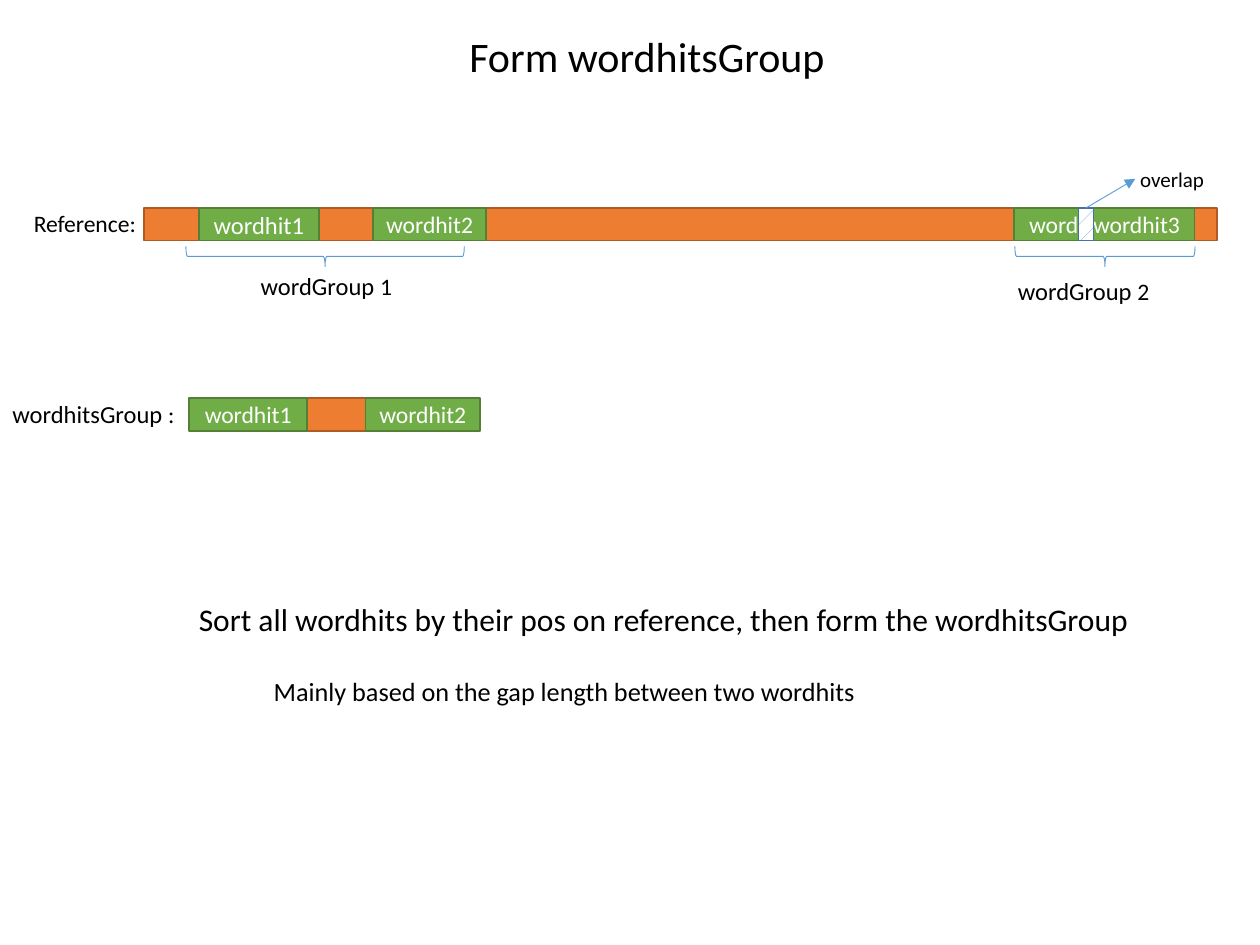
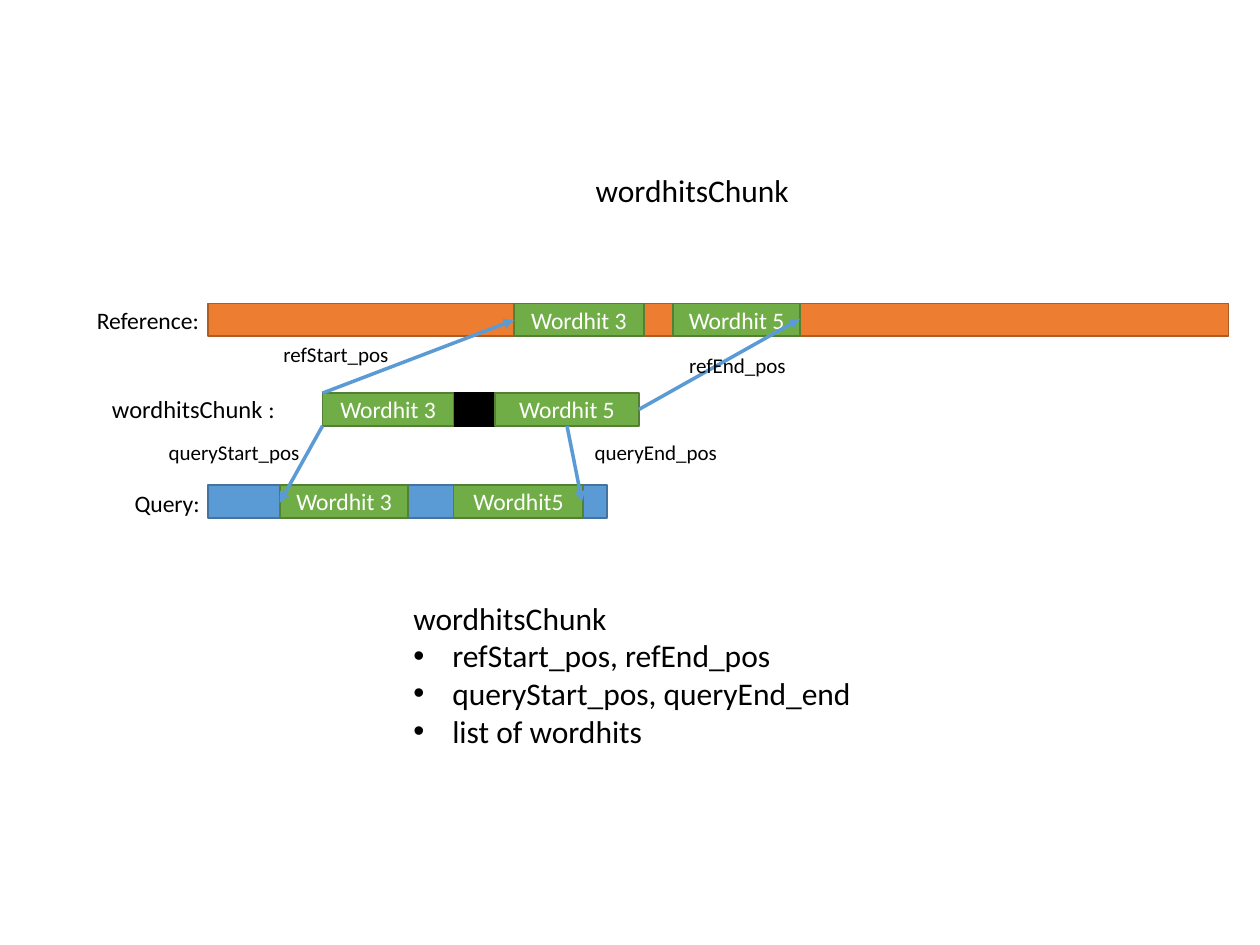
from dataclasses import dataclass

import pptx
import pptx.dml.color
import pptx.enum.dml
import pptx.enum.shapes
import pptx.enum.text
import pptx.oxml.ns
import pptx.util
from lxml import etree

Inches = pptx.util.Inches
Pt = pptx.util.Pt
Shapes = pptx.enum.shapes.MSO_SHAPE
Align = pptx.enum.text.PP_ALIGN
Anchor = pptx.enum.text.MSO_ANCHOR
AutoSize = pptx.enum.text.MSO_AUTO_SIZE
qualified = pptx.oxml.ns.qn


@dataclass(frozen=True)
class Theme:
    font: str = "Calibri"
    text: str = "000000"
    white: str = "FFFFFF"
    blue: str = "5B9BD5"
    hit: tuple = ("70AD47", "538035")
    reference: tuple = ("ED7D31", "AF5C24")
    query: tuple = ("5B9BD5", "43739E")
    gap: tuple = ("000000", "000000")
    title_size: float = 24
    statement_size: float = 18
    remark_size: float = 15
    group_size: float = 14
    label_size: float = 13.5
    note_size: float = 12
    outline: float = 1
    thin: float = 0.5
    thick: float = 2
    bar_height: float = 0.26


THEME = Theme()


def color(value):
    return pptx.dml.color.RGBColor.from_string(value)


def style_font(para, size, ink=THEME.text):
    para.font.name = THEME.font
    para.font.size = Pt(size)
    para.font.color.rgb = color(ink)


def place(shape, left, top, width, height):
    shape.left, shape.top = Inches(left), Inches(top)
    shape.width, shape.height = Inches(width), Inches(height)


def add_title(page, text, size, left, top, width, height):
    title = page.shapes.title
    place(title, left, top, width, height)
    frame = title.text_frame
    frame.word_wrap = False
    frame.auto_size = AutoSize.NONE
    frame.text = text
    style_font(frame.paragraphs[0], size)


def add_list(page, heading, items, left, top, width, height):
    body = page.placeholders[1]
    place(body, left, top, width, height)
    frame = body.text_frame
    frame.word_wrap = False
    frame.auto_size = AutoSize.NONE
    frame.text = "\n".join([heading, *items])
    for index, para in enumerate(frame.paragraphs):
        style_font(para, THEME.statement_size)
        para.space_before = Pt(0)
        properties = para._p.get_or_add_pPr()
        indent = Inches(0.31) if index else 0
        properties.set("marL", str(indent))
        properties.set("indent", str(-indent))
        if index == 0:
            bullet = etree.Element(qualified("a:buNone"))
            properties.find(qualified("a:defRPr")).addprevious(bullet)


def add_label(page, text, size, left, top, width, height, ending="", centred=False):
    box = page.shapes.add_textbox(*map(Inches, (left, top, width, height)))
    frame = box.text_frame
    frame.word_wrap = centred
    frame.auto_size = AutoSize.SHAPE_TO_FIT_TEXT
    para = frame.paragraphs[0]
    para.add_run().text = text
    style_font(para, size)
    if centred:
        para.alignment = Align.CENTER
    if ending:
        span = para.add_run()
        span.text = ending
        span.font.size = Pt(THEME.label_size)


def add_bar(page, colors, left, top, width, text="", size=THEME.label_size):
    bar = page.shapes.add_shape(
        Shapes.RECTANGLE, *map(Inches, (left, top, width, THEME.bar_height)))
    bar.shadow.inherit = False
    fill, outline = colors
    bar.fill.solid()
    bar.fill.fore_color.rgb = color(fill)
    bar.line.color.rgb = color(outline)
    bar.line.width = Pt(THEME.outline)
    if text:
        frame = bar.text_frame
        frame.margin_left = frame.margin_right = 0
        frame.margin_top = frame.margin_bottom = 0
        frame.vertical_anchor = Anchor.MIDDLE
        frame.text = text
        frame.paragraphs[0].alignment = Align.CENTER
        style_font(frame.paragraphs[0], size, THEME.white)
    return bar


def add_hits(page, top, hits):
    for text, left, width in hits:
        add_bar(page, THEME.hit, left, top, width, text)


def add_brace(page, left, top, width, height):
    brace = page.shapes.add_shape(
        Shapes.LEFT_BRACE, *map(Inches, (left, top, width, height)))
    brace.rotation = 270
    brace.shadow.inherit = False
    brace.fill.background()
    brace.line.color.rgb = color(THEME.blue)
    brace.line.width = Pt(THEME.thin)


def add_line(page, start, end, ink, width, arrow=True):
    line = page.shapes.add_connector(
        pptx.enum.shapes.MSO_CONNECTOR.STRAIGHT, *map(Inches, (*start, *end)))
    line.line.color.rgb = color(ink)
    line.line.width = Pt(width)
    if arrow:
        outline = line.line._get_or_add_ln()
        etree.SubElement(outline, qualified("a:tailEnd"), type="triangle")
    etree.SubElement(line._element.spPr, qualified("a:effectLst"))


def make_translucent(shape, percent):
    ink = shape._element.spPr.find(qualified("a:solidFill"))[0]
    etree.SubElement(ink, qualified("a:alpha"), val=str(percent * 1000))


def hatch(shape):
    shape.fill.patterned()
    shape.fill.pattern = pptx.enum.dml.MSO_PATTERN.PERCENT_5
    shape.fill.fore_color.rgb = color(THEME.blue)
    shape.fill.back_color.rgb = color(THEME.white)


def build_group_page(deck):
    page = deck.slides.add_slide(deck.slide_layouts[5])
    top, group_top = 1.65, 3.16
    add_title(page, "Form wordhitsGroup", THEME.title_size, 3.61, 0.19, 3.05, 0.5)

    add_bar(page, THEME.reference, 1.14, top, 8.52)
    add_label(page, "Reference:", THEME.label_size, 0.17, 1.61, 1.03, 0.33)
    add_bar(page, THEME.hit, 1.58, top, 0.95, "wordhit1", THEME.group_size)
    add_hits(page, top, [("wordhit2", 2.96, 0.9), ("word2", 8.05, 0.72)])
    last_hit = add_bar(page, THEME.hit, 8.56, top, 0.92, "wordhit3")
    make_translucent(last_hit, 97)

    add_brace(page, 2.5, 0.93, 0.16, 2.21)
    add_brace(page, 8.69, 1.32, 0.16, 1.43)
    for number, left, label_top in (("1", 1.97, 2.1), ("2", 7.98, 2.14)):
        add_label(page, "wordGroup ", THEME.group_size,
                  left, label_top, 1.25, 0.34, ending=number)

    add_bar(page, THEME.reference, 1.55, group_top, 2.13)
    add_hits(page, group_top, [("wordhit1", 1.5, 0.94), ("wordhit2", 2.9, 0.91)])
    add_label(page, "wordhitsGroup ", THEME.group_size,
              0, 3.12, 1.5, 0.34, ending=":")

    add_label(page, "Sort all wordhits by their pos on reference, "
              "then form the wordhitsGroup",
              THEME.statement_size, 1.48, 4.71, 7.67, 0.4)
    add_label(page, "Mainly based on the gap length between two wordhits",
              THEME.remark_size, 1.91, 5.31, 5.14, 0.35, centred=True)

    add_line(page, (8.68, top), (8.68, top + THEME.bar_height),
             THEME.white, THEME.thin, arrow=False)
    hatch(add_bar(page, THEME.query, 8.56, top, 0.12))
    add_line(page, (8.62, top), (9.01, 1.42), THEME.blue, THEME.thin)
    add_label(page, "overlap", THEME.note_size, 8.95, 1.27, 0.71, 0.3)


def build_chunk_page(deck):
    page = deck.slides.add_slide(deck.slide_layouts[1])
    reference_top, chunk_top, query_top = 2.41, 3.12, 3.85
    chunk_bottom = chunk_top + THEME.bar_height
    add_title(page, "wordhitsChunk", THEME.statement_size, 4.62, 1.31, 1.75, 0.4)

    add_bar(page, THEME.reference, 1.65, reference_top, 8.1)
    add_bar(page, THEME.query, 1.65, query_top, 3.17)
    add_bar(page, THEME.gap, 2.56, chunk_top, 1.94)
    add_label(page, "Reference:", THEME.label_size, 0.67, 2.38, 1.03, 0.33)
    add_label(page, "Query:", THEME.label_size, 0.97, 3.83, 0.73, 0.33)
    add_label(page, "wordhitsChunk ", THEME.group_size,
              0.79, 3.08, 1.51, 0.34, ending=":")

    add_hits(page, chunk_top, [("Wordhit 3", 2.56, 1.04), ("Wordhit 5", 3.93, 1.14)])
    add_hits(page, reference_top,
             [("Wordhit 3", 4.08, 1.03), ("Wordhit 5", 5.34, 1.01)])
    add_hits(page, query_top, [("Wordhit 3", 2.22, 1.02), ("Wordhit5", 3.6, 1.03)])

    arrows = [
        ((2.56, chunk_bottom), (2.22, 3.99)),
        ((4.5, chunk_bottom), (4.62, 3.98)),
        ((2.56, chunk_top), (4.08, 2.54)),
        ((5.07, 3.25), (6.35, 2.53)),
    ]
    for start, end in arrows:
        add_line(page, start, end, THEME.blue, THEME.thick)

    add_list(page, "wordhitsChunk",
             ["refStart_pos, refEnd_pos", "queryStart_pos, queryEnd_end",
              "list of wordhits"], 3.18, 4.7, 3.72, 1.31)

    notes = [
        ("refStart_pos", 2.15, 2.66, 1.04),
        ("refEnd_pos", 5.37, 2.75, 0.98),
        ("queryStart_pos", 1.24, 3.44, 1.25),
        ("queryEnd_pos", 4.62, 3.44, 1.18),
    ]
    for text, left, top, width in notes:
        add_label(page, text, THEME.note_size, left, top, width, 0.3)


def main():
    deck = pptx.Presentation()
    deck.slide_width, deck.slide_height = Inches(10), Inches(7.5)
    build_group_page(deck)
    build_chunk_page(deck)
    deck.save("out.pptx")


main()
